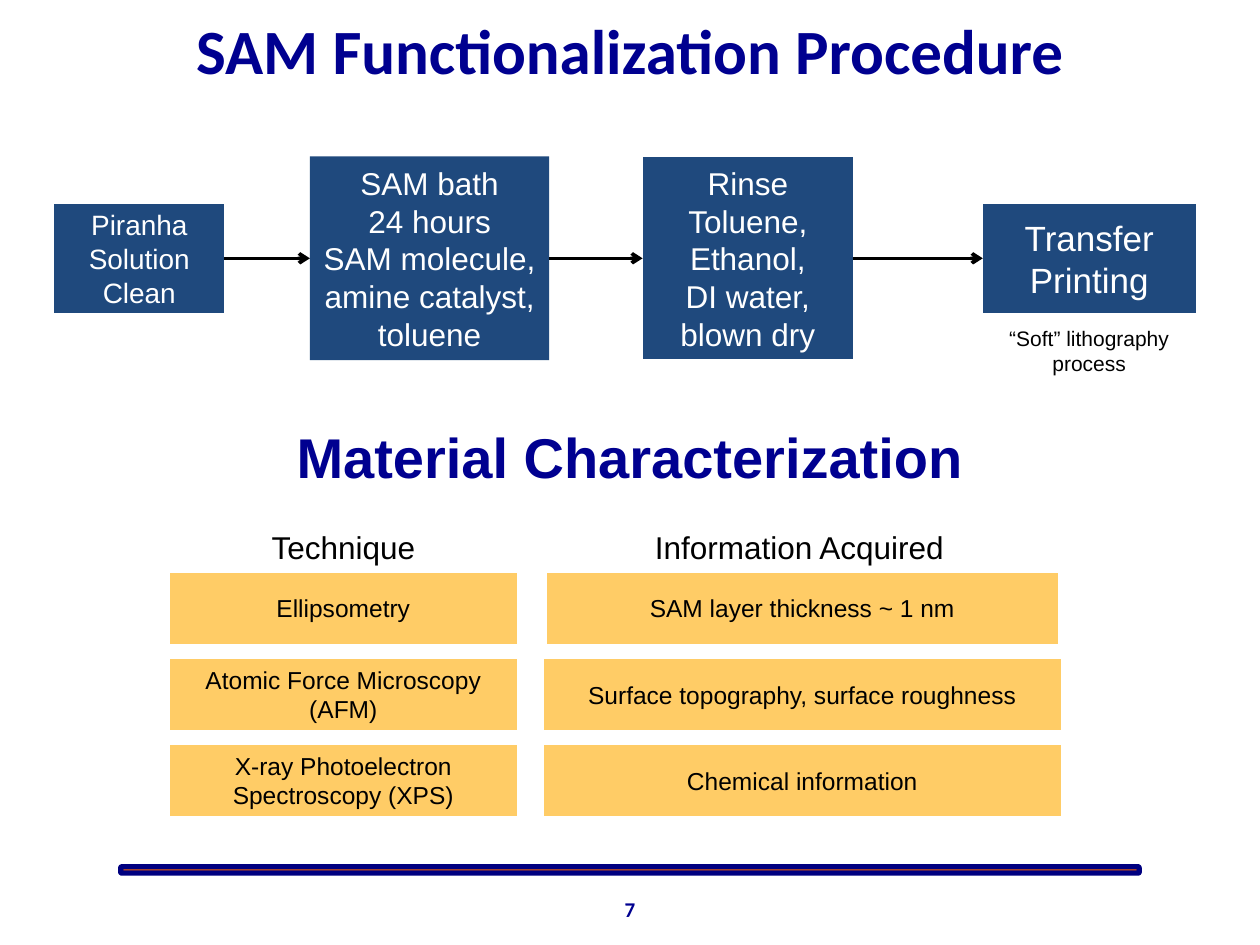
from lxml.etree import SubElement
from pptx import Presentation
from pptx.dml.color import RGBColor
from pptx.enum.shapes import MSO_CONNECTOR, MSO_SHAPE
from pptx.enum.text import MSO_ANCHOR, PP_ALIGN
from pptx.oxml.ns import qn
from pptx.util import Pt

COLORS = {"navy": "000090", "rule": "000080", "orange": "FF6600", "step": "1F497D",
          "row": "FFCC66", "white": "FFFFFF", "black": "000000"}

# Content: lengths in points
STEPS = [  # text, shape, left, width, height, text size
    ("Piranha Solution\nClean", MSO_SHAPE.FLOWCHART_PROCESS, 31, 97.2, 62, 16),
    ("SAM bath\n24 hours\nSAM molecule, amine catalyst, toluene",
     MSO_SHAPE.RECTANGLE, 177.1, 136.8, 116.6, 18),
    ("Rinse Toluene, Ethanol,\nDI water,\nblown dry",
     MSO_SHAPE.FLOWCHART_PROCESS, 367.2, 120.3, 115.2, 18),
    ("Transfer Printing", MSO_SHAPE.FLOWCHART_PROCESS, 561.6, 121.7, 62, 20),
]
TECHNIQUES = [  # technique, information acquired, width of the information box
    ("Ellipsometry", "SAM layer thickness ~ 1 nm", 291.6),
    ("Atomic Force Microscopy (AFM)", "Surface topography, surface roughness", 295.2),
    ("X-ray Photoelectron Spectroscopy (XPS)", "Chemical information", 295.2),
]
LABELS = [  # text, left, top, width, height, size, font, color, bold, anchor
    ("SAM Functionalization Procedure", 36, 0, 648, 56, 36, "Calibri", "navy", True, MSO_ANCHOR.MIDDLE),
    ("“Soft” lithography process", 563, 182.2, 118.8, 36.7, 12, "Arial", "black", False, MSO_ANCHOR.TOP),
    ("Material Characterization", 36, 232.6, 648, 56, 32, "Arial", "navy", True, MSO_ANCHOR.MIDDLE),
    ("Technique", 146.5, 298.1, 99.4, 28.8, 18, "Arial", "black", False, MSO_ANCHOR.TOP),
    ("Information Acquired", 353.5, 298.1, 206.6, 28.8, 18, "Arial", "black", False, MSO_ANCHOR.TOP),
    ("7", 276, 505.4, 168, 28.8, 12, "Calibri", "navy", True, MSO_ANCHOR.MIDDLE),
]
STEP_MIDDLE = 147.6
ROW_TOP, ROW_PITCH, ROW_HEIGHT = 327.3, 49.2, 40.5
TECHNIQUE_LEFT, TECHNIQUE_WIDTH, INFORMATION_CENTER = 97.2, 198, 458.5


def rgb(name):
    return RGBColor.from_string(COLORS[name])


def write(box, text, size, color, font="Arial", bold=False, anchor=MSO_ANCHOR.MIDDLE, wrap=True):
    frame = box.text_frame
    frame.text = text
    frame.word_wrap = wrap
    frame.vertical_anchor = anchor
    for para in frame.paragraphs:
        para.alignment = PP_ALIGN.CENTER
        for span in para.runs:
            span.font.name = font
            span.font.size = Pt(size)
            span.font.bold = bold
            span.font.color.rgb = rgb(color)


def add_block(kind, left, top, width, height, fill):
    block = slide.shapes.add_shape(kind, Pt(left), Pt(top), Pt(width), Pt(height))
    block.shadow.inherit = False
    block.fill.solid()
    block.fill.fore_color.rgb = rgb(fill)
    block.line.fill.background()
    return block


def add_arrow(start, end):
    arrow = slide.shapes.add_connector(
        MSO_CONNECTOR.STRAIGHT, Pt(start), Pt(STEP_MIDDLE), Pt(end), Pt(STEP_MIDDLE))
    arrow.line.width = Pt(2)
    arrow.line.color.rgb = rgb("black")
    SubElement(arrow.line._get_or_add_ln(), qn("a:tailEnd"), type="arrow")
    SubElement(arrow._element.spPr, qn("a:effectLst"))


deck = Presentation()
deck.slide_width, deck.slide_height = Pt(720), Pt(540)
slide = deck.slides.add_slide(deck.slide_layouts[6])

# Footer rule
rule = add_block(MSO_SHAPE.ROUNDED_RECTANGLE, 69, 495.3, 582, 3.6, "orange")
rule.line.color.rgb = rgb("rule")
rule.line.width = Pt(3)

# Headings, captions and page number
for text, left, top, width, height, size, font, color, bold, anchor in LABELS:
    label = slide.shapes.add_textbox(Pt(left), Pt(top), Pt(width), Pt(height))
    write(label, text, size, color, font, bold, anchor)

# Procedure steps, centered on one line
for text, kind, left, width, height, size in STEPS:
    step = add_block(kind, left, STEP_MIDDLE - height / 2, width, height, "step")
    write(step, text, size, "white")

# Arrows from each step to the next
for current, following in zip(STEPS, STEPS[1:]):
    add_arrow(current[2] + current[3], following[2])

# Techniques and the information they give
for index, (technique, information, information_width) in enumerate(TECHNIQUES):
    top = ROW_TOP + index * ROW_PITCH
    information_left = INFORMATION_CENTER - information_width / 2
    for text, left, width, wrap in (
            (technique, TECHNIQUE_LEFT, TECHNIQUE_WIDTH, True),
            (information, information_left, information_width, False)):
        cell = add_block(MSO_SHAPE.FLOWCHART_PROCESS, left, top, width, ROW_HEIGHT, "row")
        write(cell, text, 14, "black", wrap=wrap)

deck.save("out.pptx")
